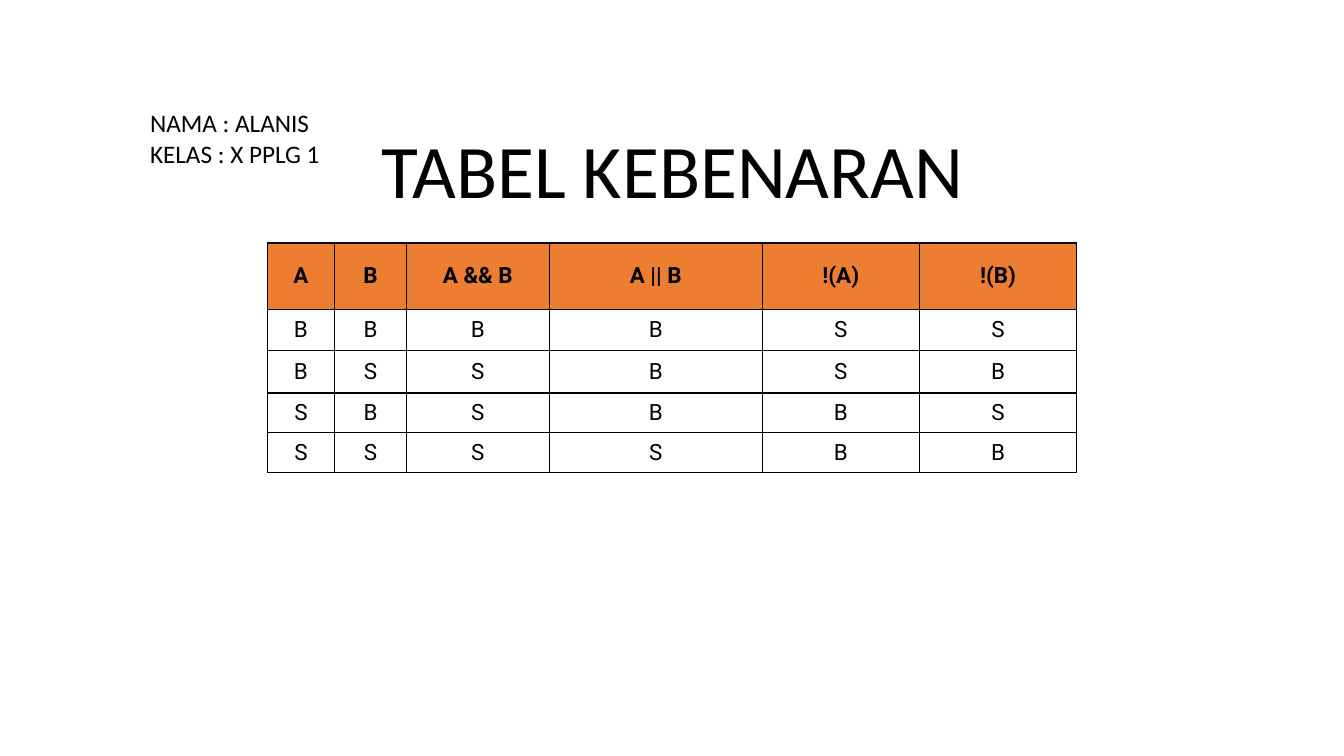
import pptx
import pptx.util
import pptx.dml.color
import pptx.enum.text
import pptx.oxml
import pptx.oxml.ns
from dataclasses import dataclass

TITLE = "TABEL KEBENARAN"
STUDENT = ["NAMA : ALANIS", "KELAS : X PPLG 1"]
HEADER = ["A", "B", "A && B", "A || B", "!(A)", "!(B)"]
TRUTH = ["BBBBSS", "BSSBSB", "SBSBBS", "SSSSBB"]
COLS = [0.67, 0.71, 1.42, 2.11, 1.56, 1.56]
ROWS = [0.66, 0.41, 0.42, 0.39, 0.4]
WIDTH, HEIGHT = 13.33, 7.5
TITLE_BOX = (1.67, 1.23, 10, 0.95)
STUDENT_BOX = (1.39, 1.02, 1.9, 0.71)
TABLE_TOP = 2.41


@dataclass(frozen=True)
class Theme:
    ink: str = "000000"
    header: str = "ED7D31"
    paper: str = "FFFFFF"
    text_font: str = "Calibri"
    table_font: str = "Roboto"
    title_size: int = 54
    student_size: int = 18
    table_size: int = 16
    border: int = 1


T = Theme()
inch = pptx.util.Inches
rgb = pptx.dml.color.RGBColor.from_string
ALIGN = pptx.enum.text.PP_ALIGN
ANCHOR = pptx.enum.text.MSO_ANCHOR
AUTO = pptx.enum.text.MSO_AUTO_SIZE


def write(tf, lines, size, font=T.text_font, bold=False, align=ALIGN.LEFT, spacing=1.0):
    for i, line in enumerate(lines):
        p = tf.paragraphs[0] if i == 0 else tf.add_paragraph()
        p.alignment = align
        p.line_spacing = spacing
        r = p.add_run()
        r.text = line
        r.font.size = pptx.util.Pt(size)
        r.font.name = font
        r.font.bold = bold
        r.font.color.rgb = rgb(T.ink)


def add_borders(cell):
    tcPr = cell._tc.get_or_add_tcPr()
    for i, side in enumerate("LRTB"):
        tcPr.insert(i, pptx.oxml.parse_xml(
            f'<a:ln{side} {pptx.oxml.ns.nsdecls("a")} w="{pptx.util.Pt(T.border)}">'
            f'<a:solidFill><a:srgbClr val="{T.ink}"/></a:solidFill></a:ln{side}>'))


def add_title(s):
    sp = s.shapes.title
    sp.left, sp.top, sp.width, sp.height = map(inch, TITLE_BOX)
    tf = sp.text_frame
    tf.word_wrap = True
    tf.auto_size = AUTO.NONE
    tf.vertical_anchor = ANCHOR.BOTTOM
    write(tf, [TITLE], T.title_size, align=ALIGN.CENTER, spacing=0.9)


def add_truth_table(s):
    width = sum(COLS)
    box = map(inch, ((WIDTH - width) / 2, TABLE_TOP, width, sum(ROWS)))
    table = s.shapes.add_table(len(ROWS), len(COLS), *box).table
    table.horz_banding = False
    for col, w in zip(table.columns, COLS):
        col.width = inch(w)
    for row, h in zip(table.rows, ROWS):
        row.height = inch(h)
    for i, values in enumerate([HEADER, *TRUTH]):
        for j, value in enumerate(values):
            cell = table.cell(i, j)
            cell.vertical_anchor = ANCHOR.MIDDLE
            cell.fill.solid()
            cell.fill.fore_color.rgb = rgb(T.paper if i else T.header)
            add_borders(cell)
            write(cell.text_frame, [value], T.table_size, font=T.table_font,
                  bold=i == 0, align=ALIGN.CENTER)


def add_student(s):
    tf = s.shapes.add_textbox(*map(inch, STUDENT_BOX)).text_frame
    tf.word_wrap = False
    tf.auto_size = AUTO.SHAPE_TO_FIT_TEXT
    write(tf, STUDENT, T.student_size)


def main():
    prs = pptx.Presentation()
    prs.slide_width, prs.slide_height = inch(WIDTH), inch(HEIGHT)
    s = prs.slides.add_slide(prs.slide_layouts.get_by_name("Title Only"))
    s.background.fill.solid()
    s.background.fill.fore_color.rgb = rgb(T.paper)
    add_title(s)
    add_truth_table(s)
    add_student(s)
    prs.save("out.pptx")


if __name__ == "__main__":
    main()
